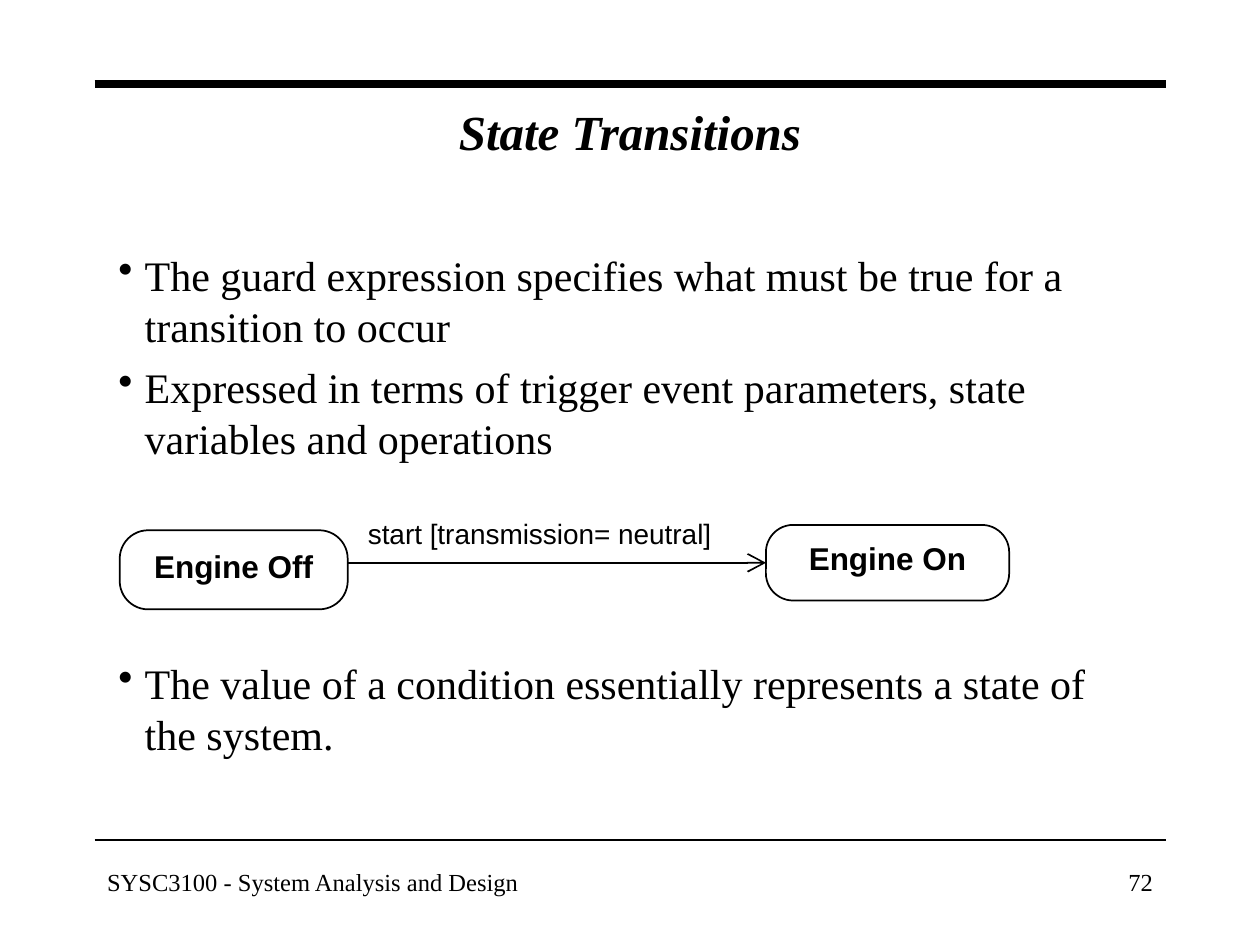
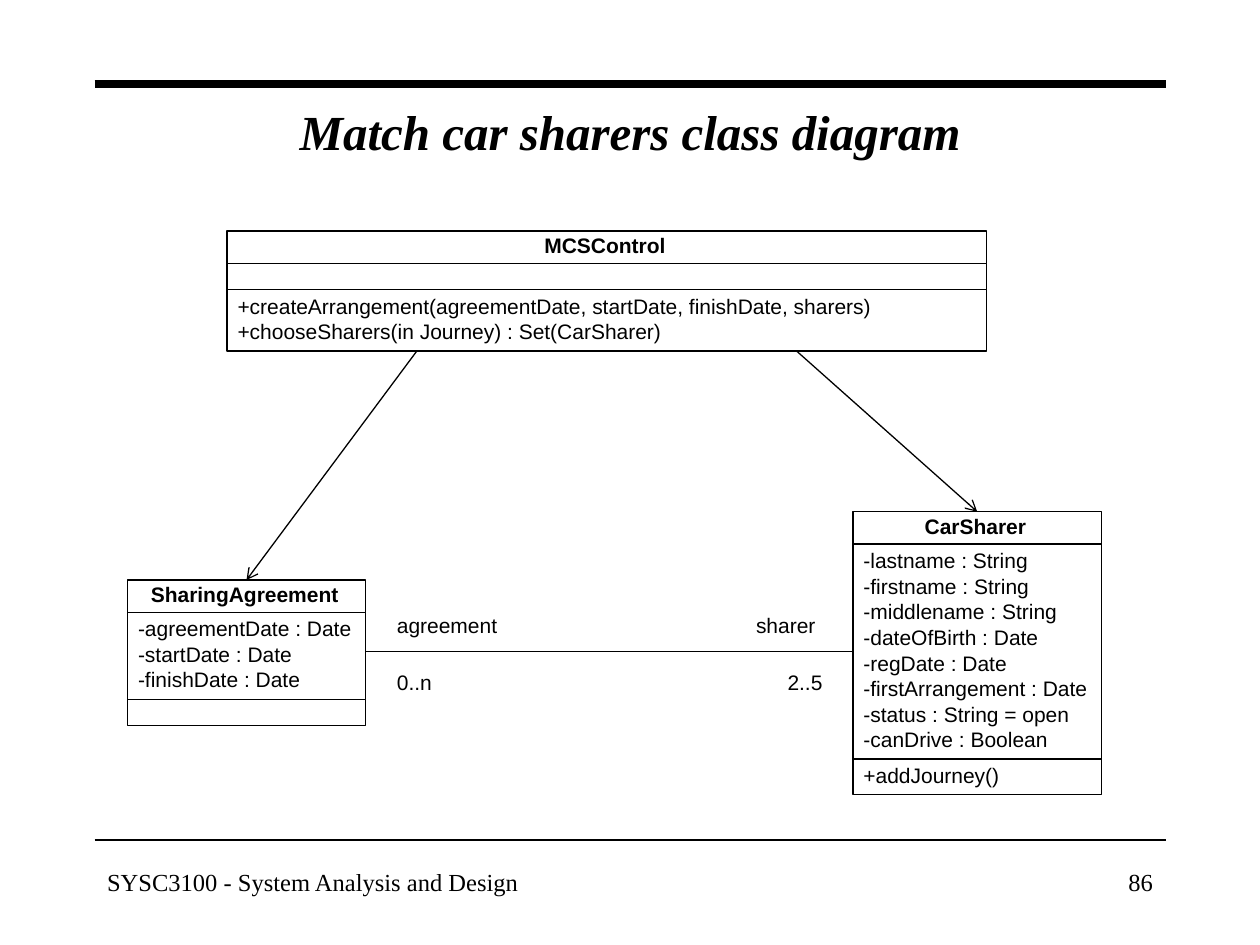
from pptx import Presentation
from pptx import util as u
from pptx.dml.color import RGBColor
from pptx.enum import shapes, text
from pptx.oxml import parse_xml
from pptx.oxml.ns import nsdecls, qn

Pt = u.Pt
HUES = {"ink": "000000", "paper": "FFFFFF"}
SERIF, SANS = "Times New Roman", "Arial"
LEFT, MID, RIGHT = text.PP_ALIGN.LEFT, text.PP_ALIGN.CENTER, text.PP_ALIGN.RIGHT
TOP, CORE = text.MSO_ANCHOR.TOP, text.MSO_ANCHOR.MIDDLE


def hue(key):
    return RGBColor.from_string(HUES[key])


def write(frame, lines, size=12, font=SANS, bold=False, slant=False, align=LEFT,
          anchor=TOP, pad=(0, 0, 0, 0), wrap=True, pitch=None, gaps=(), dots=False):
    """Fill a text frame, one paragraph per line of text."""
    frame.word_wrap = wrap
    frame.vertical_anchor = anchor
    sides = [Pt(side) for side in pad]
    frame.margin_left, frame.margin_top, frame.margin_right, frame.margin_bottom = sides
    for i, line in enumerate(lines):
        para = frame.paragraphs[0] if i == 0 else frame.add_paragraph()
        para.alignment = align
        if pitch:
            para.line_spacing = pitch
        if gaps:
            para.space_before = Pt(gaps[i])
        if dots:
            props = para._p.get_or_add_pPr()
            props.set("marL", str(Pt(33)))
            props.set("indent", str(Pt(-15)))
            props.append(parse_xml(f'<a:buChar {nsdecls("a")} char="•"/>'))
        run = para.add_run()
        run.text = line
        run.font.size, run.font.name = Pt(size), font
        run.font.bold, run.font.italic = bold, slant
        run.font.color.rgb = hue("ink")


class Deck:
    """Holds the shared style and the current slide."""

    def __init__(self):
        self.prs = Presentation()
        self.prs.slide_width, self.prs.slide_height = Pt(720), Pt(540)
        self.slide = None

    def page(self, title, number):
        self.slide = self.prs.slides.add_slide(self.prs.slide_layouts[6])
        # Rules above and below
        self.line((54, 48), (666, 48), 4.5)
        self.line((54, 480), (666, 480), 1)
        # Title and footer
        self.label(54, 48, [title], 612, 54, size=28, font=SERIF, bold=True,
                   slant=True, align=MID, anchor=CORE)
        foot = dict(size=14, font=SERIF)
        self.label(61.2, 495.4, ["SYSC3100 - System Analysis and Design"], 400, 20, **foot)
        self.label(523.2, 495.4, [str(number)], 135.6, 20, align=RIGHT, **foot)

    def label(self, x, y, lines, w=60, h=15, **style):
        box = self.slide.shapes.add_textbox(Pt(x), Pt(y), Pt(w), Pt(h))
        write(box.text_frame, lines, **style)

    def box(self, x, y, w, h, lines, kind=shapes.MSO_SHAPE.RECTANGLE, weight=0.75, **style):
        box = self.slide.shapes.add_shape(kind, Pt(x), Pt(y), Pt(w), Pt(h))
        box.shadow.inherit = False
        box.fill.solid()
        box.fill.fore_color.rgb = hue("paper")
        box.line.color.rgb, box.line.width = hue("ink"), Pt(weight)
        write(box.text_frame, lines, **style)
        return box

    def state(self, x, y, w, h, name):
        box = self.box(x, y, w, h, [name], shapes.MSO_SHAPE.ROUNDED_RECTANGLE, 1,
                       size=18, bold=True, align=MID, anchor=CORE, pad=(0, 0, 0, 5))
        box.adjustments[0] = 0.36
        return box

    def table(self, x, y, w, name, fields, calls):
        """Draw a class as name, field and call boxes, stacked."""
        head = self.box(x, y, w, 18.5, [name], bold=True, align=MID, pad=(0, 1, 2, 0))
        parts = [head]
        y += 18.5
        for lines in (fields, calls):
            h = 5.7 + 14.65 * len(lines) if lines else 15.1
            parts.append(self.box(x, y, w, h, lines, pad=(6, 1.7, 0, 0),
                                  wrap=False, pitch=Pt(14.65)))
            y += h
        return parts

    def line(self, start, end, weight=0.75, head=None, goal=None, side=0):
        """Draw a line; head is an arrow size, goal a box to join at a side."""
        spots = [Pt(n) for n in (*start, *end)]
        line = self.slide.shapes.add_connector(shapes.MSO_CONNECTOR.STRAIGHT, *spots)
        line.line.color.rgb, line.line.width = hue("ink"), Pt(weight)
        if head:
            line.line._get_or_add_ln().append(parse_xml(
                f'<a:tailEnd {nsdecls("a")} type="arrow" w="{head}" len="{head}"/>'))
        props = line._element.spPr
        props.append(props.makeelement(qn("a:effectLst"), {}))
        if goal is not None:
            line.end_connect(goal, side)


def states(deck):
    deck.page("State Transitions", 72)
    # Points, with room for the diagram before the last
    deck.label(41.8, 138.2, [
        "The guard expression specifies what must be true for a transition to occur",
        "Expressed in terms of trigger event parameters, state variables and operations",
        "The value of a condition essentially represents a state of the system.",
    ], 617, 320, size=24, font=SERIF, pad=(7.9, 4.3, 7.9, 4.3), pitch=Pt(29),
        gaps=(0, 6, 111), dots=True)
    # Two states and the move between them
    deck.state(68.4, 303, 130.3, 45.2, "Engine Off")
    goal = deck.state(437.7, 300, 139, 43.2, "Engine On")
    deck.line((198.7, 321.6), (437.7, 321.6), 1, "lg", goal, 1)
    deck.label(210.2, 297.4, ["start [transmission= neutral]"], 240, 18, size=16, pitch=0.9)


def sharers(deck):
    deck.page("Match car sharers class diagram", 86)
    # Classes
    x, y, w = 129.7, 132, 434
    parts = deck.table(x, y, w, "MCSControl", [], [
        "+createArrangement(agreementDate, startDate, finishDate, sharers)",
        "+chooseSharers(in Journey) : Set(CarSharer)"])
    deal = deck.table(72.9, 331.4, 136, "SharingAgreement", [
        "-agreementDate : Date", "-startDate : Date", "-finishDate : Date"], [])
    car = deck.table(487.4, 292.4, 142, "CarSharer", [
        "-lastname : String", "-firstname : String", "-middlename : String",
        "-dateOfBirth : Date", "-regDate : Date", "-firstArrangement : Date",
        "-status : String = open", "-canDrive : Boolean"], ["+addJourney()"])
    # Arrows from the quarter points of the control class
    base = (parts[-1].top + parts[-1].height) / Pt(1)
    for part, goal in ((0.25, deal[0]), (0.75, car[0])):
        tip = ((goal.left + goal.width / 2) / Pt(1), goal.top / Pt(1))
        deck.line((x + w * part, base), tip, head="med", goal=goal)
    # Link between the two lower classes
    level = (car[1].top + car[1].height / 2) / Pt(1)
    deck.line((208.9, level), (487.4, level), 0.5, goal=car[1], side=1)
    for left, top, name in ((226.8, 350, "agreement"), (226.8, 382.4, "0..n"),
                            (432, 350, "sharer"), (450, 382.4, "2..5")):
        deck.label(left, top, [name], wrap=False)


def main():
    deck = Deck()
    states(deck)
    sharers(deck)
    deck.prs.save("out.pptx")


if __name__ == "__main__":
    main()
